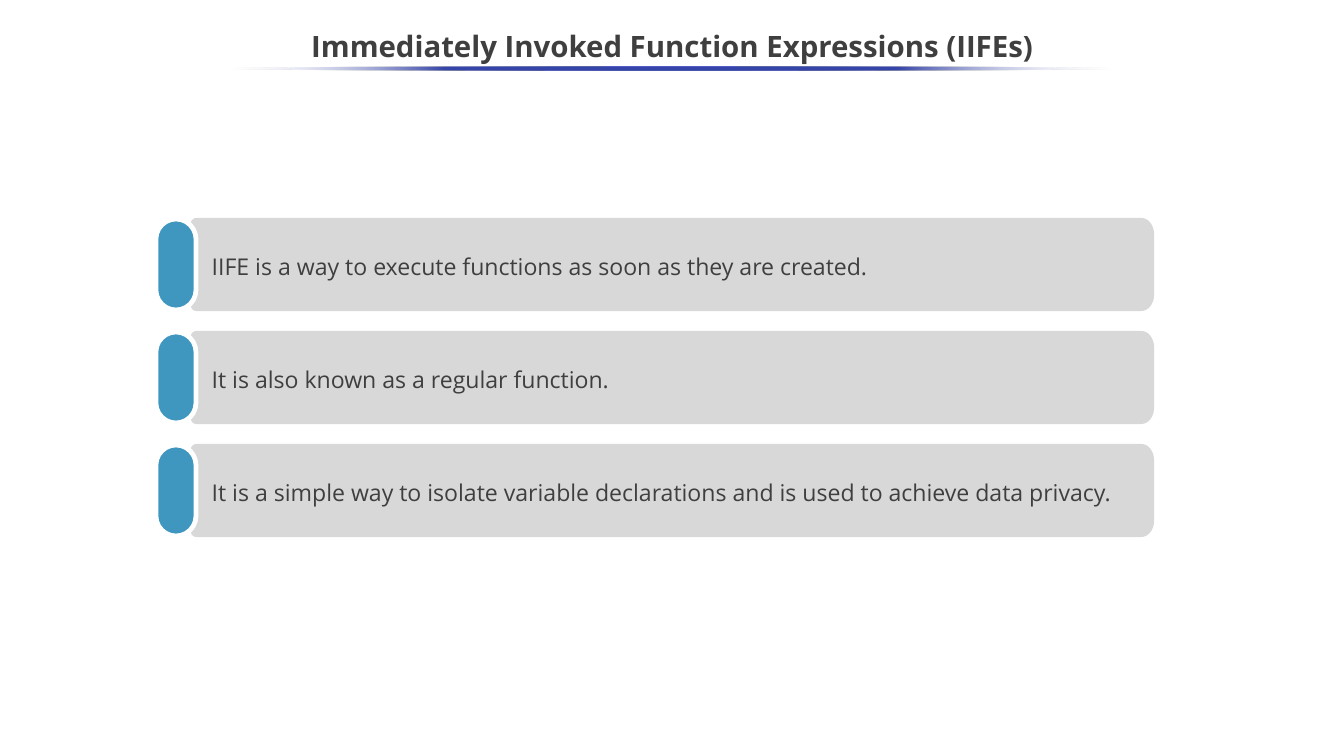
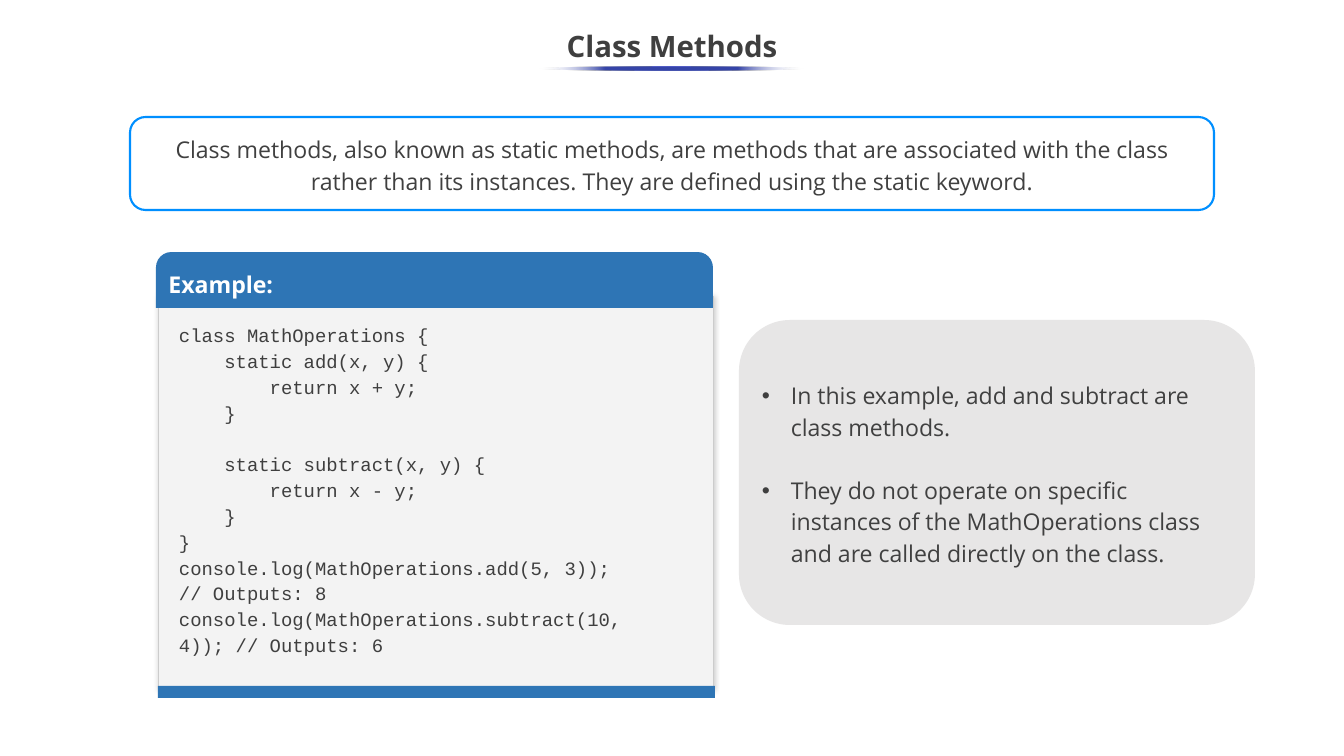
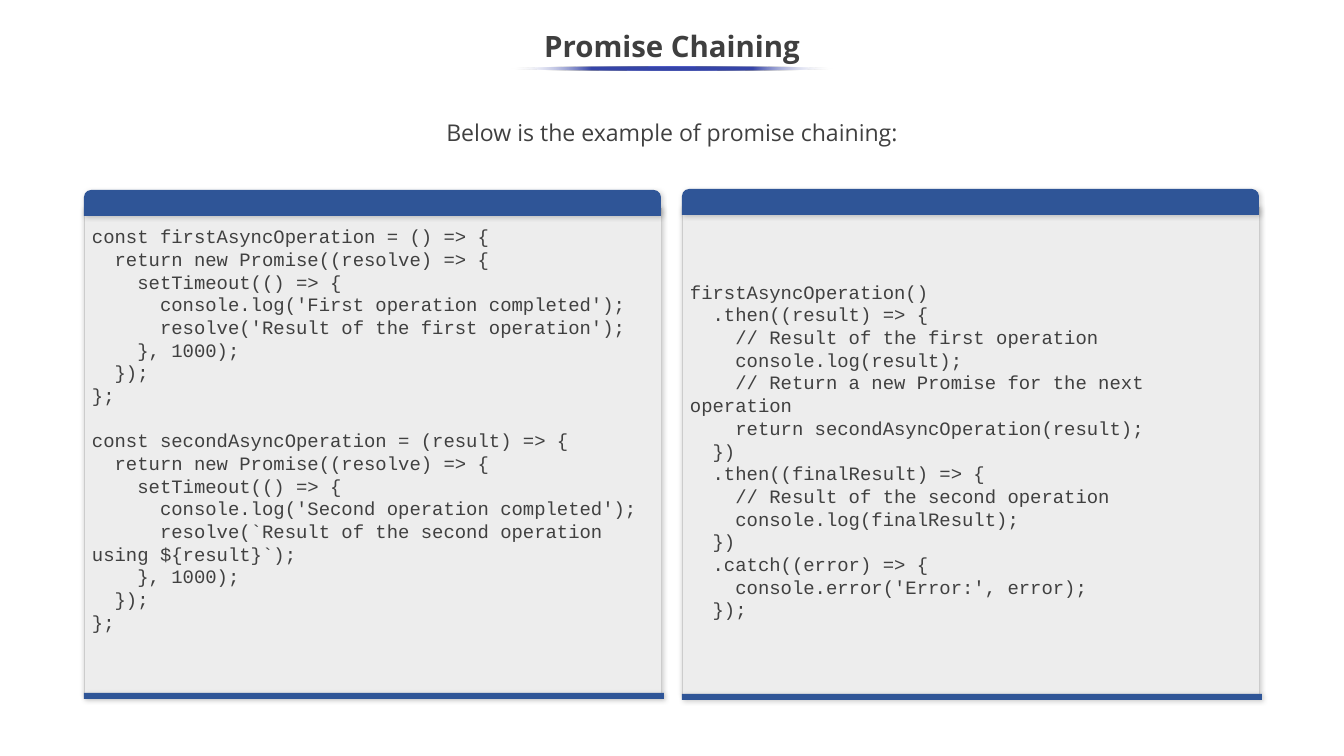
from lxml.etree import SubElement as Sub
from pptx import Presentation
from pptx.dml.color import RGBColor as Rgb
from pptx.enum.shapes import MSO_SHAPE as Shape
from pptx.enum.text import MSO_ANCHOR as Anchor, PP_ALIGN as Align
from pptx.oxml.ns import qn
from pptx.util import Pt

PX = 12095  # EMU in one px
WIDE, HIGH = 1344, 756
SANS, MONO = "Open Sans", "Courier New"
HUES = {
    "ink": "3F3F3F", "text": "404040", "white": "FFFFFF", "rule": "3645A9",
    "card": "D8D8D8", "pill": "3F97C0", "frame": "008FFF", "note": "E7E6E6",
    "edge": "CCCCCC", "pale": "F3F3F3", "blue": "2E75B5",
    "grey": "EDEDED", "navy": "2F5597",
}

FACTS = [
    "IIFE is a way to execute functions as soon as they are created.",
    "It is also known as a regular function.",
    "It is a simple way to isolate variable declarations and is used to "
    "achieve data privacy.",
]
INTRO = ("Class methods, also known as static methods, are methods that are "
         "associated with the class rather than its instances. They are "
         "defined using the static keyword.")
NOTES = [
    "In this example, add and subtract are class methods.",
    "They do not operate on specific instances of the MathOperations class "
    "and are called directly on the class.",
]
MATH = """class MathOperations {
    static add(x, y) {
        return x + y;
    }

    static subtract(x, y) {
        return x - y;
    }
}
console.log(MathOperations.add(5, 3));
// Outputs: 8
console.log(MathOperations.subtract(10, 4)); // Outputs: 6"""
SETUP = """const firstAsyncOperation = () => {
  return new Promise((resolve) => {
    setTimeout(() => {
      console.log('First operation completed');
      resolve('Result of the first operation');
    }, 1000);
  });
};

const secondAsyncOperation = (result) => {
  return new Promise((resolve) => {
    setTimeout(() => {
      console.log('Second operation completed');
      resolve(`Result of the second operation using ${result}`);
    }, 1000);
  });
};"""
CHAIN = """firstAsyncOperation()
  .then((result) => {
    // Result of the first operation
    console.log(result);
    // Return a new Promise for the next operation
    return secondAsyncOperation(result);
  })
  .then((finalResult) => {
    // Result of the second operation
    console.log(finalResult);
  })
  .catch((error) => {
    console.error('Error:', error);
  });"""


# Basic elements
def hue(name):
    return Rgb.from_string(HUES[name])


def paint(shp, fill, line=None, width=1):
    shp.shadow.inherit = False
    shp.fill.solid()
    shp.fill.fore_color.rgb = hue(fill)
    if line:
        shp.line.color.rgb = hue(line)
        shp.line.width = Pt(width)
    else:
        shp.line.fill.background()


def block(slide, kind, box, fill, line=None, width=1, adj=()):
    shp = slide.shapes.add_shape(kind, *(n * PX for n in box))
    paint(shp, fill, line, width)
    for i, val in enumerate(adj):
        shp.adjustments[i] = val
    return shp


def label(slide, box):
    return slide.shapes.add_textbox(*(n * PX for n in box))


def tint(node, name, alpha=None):
    clr = Sub(node, qn("a:srgbClr"), val=HUES[name] if name else "000000")
    if alpha is not None:
        Sub(clr, qn("a:alpha"), val=str(alpha * 1000))


def shade(shp):
    """Soft drop shadow."""
    glow = shp._element.spPr.find(qn("a:effectLst"))
    drop = Sub(glow, qn("a:outerShdw"), blurRad=str(Pt(4.5)),
               dist=str(Pt(1.5)), dir=str(47 * 60000), algn="tl",
               rotWithShape="0")
    tint(drop, None, 20)


# Text
def dot(para):
    prop = para._p.get_or_add_pPr()
    prop.set("marL", str(29 * PX))
    prop.set("indent", str(-29 * PX))
    tint(Sub(prop, qn("a:buClr")), "ink")
    Sub(prop, qn("a:buFont"), typeface="Arial")
    Sub(prop, qn("a:buChar"), char="•")


def write(shp, lines, color="text", size=22, font=SANS, bold=False,
          align=Align.LEFT, lead=1.14, pad=(8, 4, 8, 4), dots=False, gap=0):
    """An empty line, or any line after the first if dots, opens a gap."""
    frame = shp.text_frame
    frame.word_wrap = True
    frame.vertical_anchor = Anchor.MIDDLE
    (frame.margin_left, frame.margin_top,
     frame.margin_right, frame.margin_bottom) = (n * PX for n in pad)
    para, last = None, None
    for line in lines:
        if line:
            first = para is None
            para = frame.paragraphs[0] if first else frame.add_paragraph()
            if dots:
                dot(para)
            para.alignment = align
            para.line_spacing = lead
            if not first and (dots or last == ""):
                para.space_before = Pt(gap)
            run = para.add_run()
            run.text = line
            run.font.name, run.font.size = font, Pt(size)
            run.font.bold = bold
            run.font.color.rgb = hue(color)
        last = line


def code(shp, text, color, lead, pad):
    write(shp, text.split("\n"), color, 18, MONO, lead=lead, pad=pad,
          gap=round(21.6 * lead, 1))


# Shared heading
def head(slide, text, width):
    write(label(slide, (-1, 19, WIDE + 2, 57)), [text], "ink", 28, bold=True,
          align=Align.CENTER, lead=0.9)
    bar = block(slide, Shape.OVAL, ((WIDE - width) // 2, 67, width, 3), "rule")
    prop = bar._element.spPr
    old = prop.find(qn("a:solidFill"))
    grad = old.makeelement(qn("a:gradFill"), {"rotWithShape": "1"})
    prop.replace(old, grad)
    stops = Sub(grad, qn("a:gsLst"))
    for pos in range(0, 101, 25):
        stop = Sub(stops, qn("a:gs"), pos=str(pos * 1000))
        if pos in (0, 100):
            tint(stop, "white", 0)
        else:
            tint(stop, "rule")
    Sub(grad, qn("a:lin"), ang=str(180 * 60000), scaled="0")


# Cards with a pill
def curve(*knots):
    """Points along a cubic curve through its four knots."""
    pts = []
    for i in range(9):
        t = i / 8
        mix = ((1 - t) ** 3, 3 * t * (1 - t) ** 2, 3 * t * t * (1 - t), t ** 3)
        pts.append(tuple(sum(m * k[axis] for m, k in zip(mix, knots))
                         for axis in (0, 1)))
    return pts


def card(slide, x, y, w, h, text):
    left = curve((0, 15), (0, 7), (-2, 0), (5, 0))
    right = curve((w - 12, 0), (w - 5, 0), (w, 7), (w, 15))
    top = left + right
    pts = top + [(a, h - b) for a, b in reversed(top)]
    pts = [((x + a) * 10, (y + b) * 10) for a, b in pts]
    form = slide.shapes.build_freeform(*pts[0], scale=PX / 10)
    form.add_line_segments(pts[1:], close=True)
    shp = form.convert_to_shape()
    paint(shp, "card", "card", 2)
    write(shp, [text], "ink", lead=1.15, pad=(20, 4, 8, 4))
    block(slide, Shape.ROUNDED_RECTANGLE, (x - 36, y, 40, h), "pill",
          "white", 4.5, [0.5])


# Code panel: body, top band, foot band
def panel(slide, body, top, foot, fill, band, deep=False):
    page = block(slide, Shape.RECTANGLE, body, fill, "edge", 0.75)
    cap = block(slide, Shape.ROUND_2_SAME_RECTANGLE, top, band,
                adj=[0.275, 0])
    base = block(slide, Shape.RECTANGLE, foot, band)
    for shp in (page, cap, base) if deep else (page,):
        shade(shp)
    return page, cap


# Slides
def iife(slide):
    head(slide, "Immediately Invoked Function Expressions (IIFEs)", 903)
    for i, fact in enumerate(FACTS):
        card(slide, 192, 219 + 113 * i, 961, 91, fact)


def methods(slide):
    head(slide, "Class Methods", 263)
    cap = panel(slide, (158, 296, 555, 392), (156, 252, 557, 56),
                (158, 686, 557, 12), "pale", "blue")[1]
    write(cap, ["Example:"], "white", bold=True)
    code(label(slide, (171, 315, 531, 399)), MATH, "ink", 1.14,
         (8, 4, 8, 56))
    note = block(slide, Shape.ROUNDED_RECTANGLE, (739, 320, 516, 305), "note",
                 adj=[0.167])
    write(note, NOTES, dots=True, gap=30)
    intro = block(slide, Shape.ROUNDED_RECTANGLE, (130, 117, 1084, 93),
                  "white", "frame", 2, [0.167])
    write(intro, [INTRO], align=Align.CENTER)


def promise(slide):
    head(slide, "Promise Chaining", 320)
    write(label(slide, (147, 116, 1050, 32)),
          ["Below is the example of promise chaining:"],
          align=Align.CENTER, lead=1, pad=(0, 0, 0, 0))
    for x, y, end, text, low in ((84, 190, 693, SETUP, 53),
                                 (682, 189, 694, CHAIN, 8)):
        page = panel(slide, (x, y + 18, 577, 487), (x, y, 577, 26),
                     (x, end, 580, 6), "grey", "navy", True)[0]
        code(page, text, "text", 1.0, (8, 8, 8, low))


def main():
    deck = Presentation()
    deck.slide_width, deck.slide_height = WIDE * PX, HIGH * PX
    for draw in (iife, methods, promise):
        draw(deck.slides.add_slide(deck.slide_layouts[6]))
    deck.save("out.pptx")


if __name__ == "__main__":
    main()
